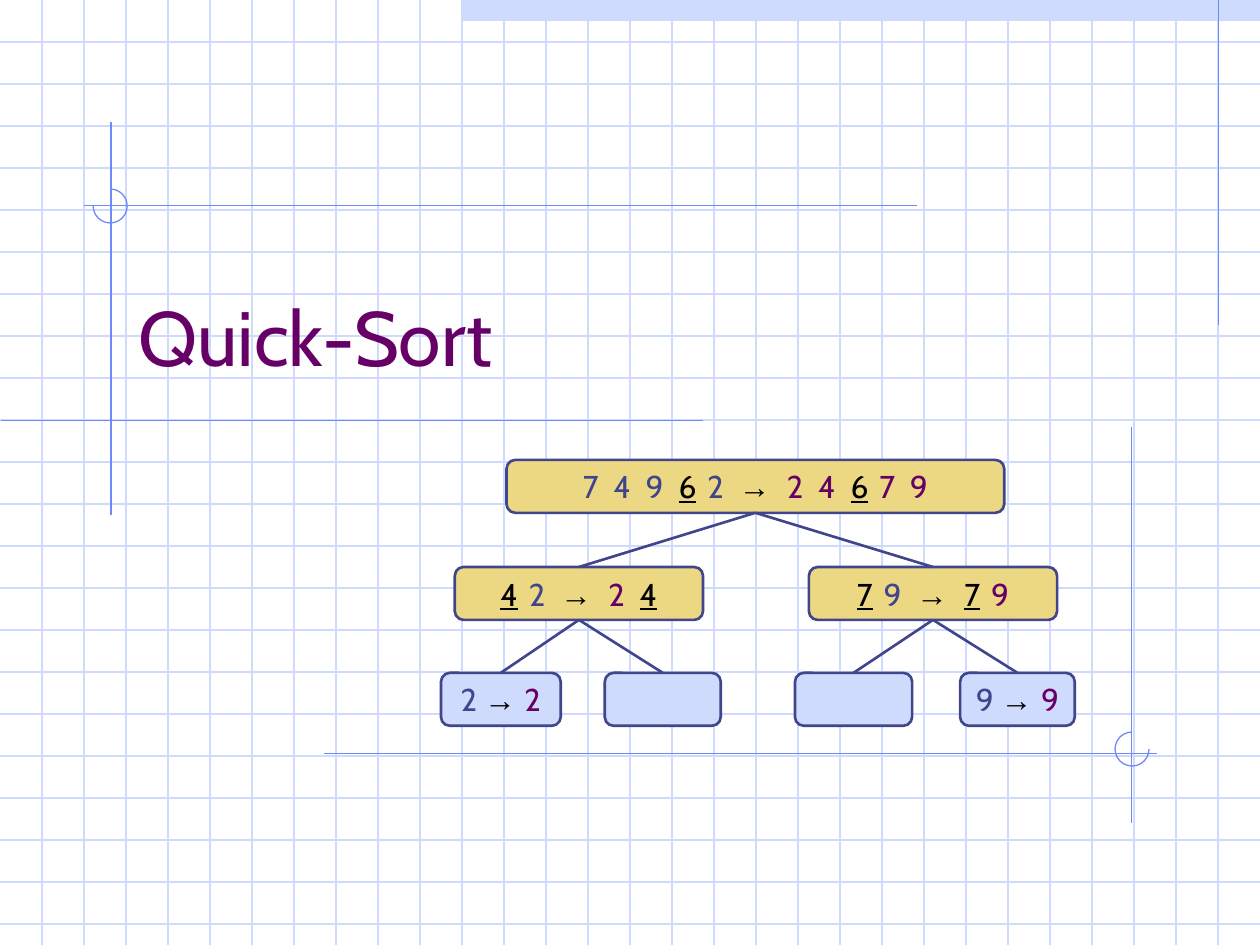
from dataclasses import dataclass

from lxml.etree import SubElement
from pptx import Presentation
from pptx.dml.color import RGBColor
from pptx.enum.shapes import MSO_CONNECTOR as Link, MSO_SHAPE as Preset
from pptx.enum.text import MSO_ANCHOR as Anchor, MSO_AUTO_SIZE as Fit, PP_ALIGN as Align
from pptx.oxml.ns import qn
from pptx.util import Inches, Pt


@dataclass(frozen=True)
class Theme:
    pale: str = "CFDBFD"
    guide: str = "6F89F7"
    gold: str = "ECD882"
    ink: str = "40458C"
    plum: str = "660066"
    black: str = "000000"
    font: str = "Cabin"
    arrow_font: str = "Arial"
    title_size: int = 44
    node_size: int = 18
    thin: float = 0.75
    thick: float = 1.5


@dataclass(frozen=True)
class Box:
    left: float
    top: float
    width: float
    height: float

    def inset(self, left, top, width, height):
        """A box placed in inches from this box's corner."""
        return Box(self.left + left, self.top + top, width, height)

    def emu(self):
        return [Inches(v) for v in (self.left, self.top, self.width, self.height)]


THEME = Theme()
SLIDE = Box(0, 0, 10, 7.5)
CELL = 1 / 3  # pitch of the squared paper


def colour(value):
    return RGBColor.from_string(value)


def add_line(page, start, end, tint, weight):
    line = page.shapes.add_connector(Link.STRAIGHT, *map(Inches, (*start, *end)))
    line.line.color.rgb = colour(tint)
    line.line.width = Pt(weight)
    SubElement(line.element.spPr, qn("a:effectLst"))
    return line


def add_shape(page, preset, box, fill=None, outline=None, weight=THEME.thin):
    shape = page.shapes.add_shape(preset, *box.emu())
    shape.shadow.inherit = False
    if fill:
        shape.fill.solid()
        shape.fill.fore_color.rgb = colour(fill)
    else:
        shape.fill.background()
    if outline:
        shape.line.color.rgb = colour(outline)
        shape.line.width = Pt(weight)
    else:
        shape.line.fill.background()
    return shape


def add_squared_paper(page, box):
    # Header band starts on the eleventh column and is half a row high
    band = box.inset(11 * CELL, 0, box.width - 11 * CELL, CELL / 2)
    add_shape(page, Preset.RECTANGLE, band, THEME.pale)
    right, bottom = box.left + box.width, box.top + box.height
    for row in range(1, int(box.height / CELL) + 1):
        y = box.top + row * CELL
        add_line(page, (box.left, y), (right, y), THEME.pale, THEME.thin)
    for column in range(1, int(box.width / CELL)):
        x = box.left + column * CELL
        add_line(page, (x, box.top), (x, bottom), THEME.pale, THEME.thin)


def add_guides(page, box):
    # Construction lines
    for start, end in (
        ((9.67, 0), (9.67, 2.58)),
        ((0.88, 0.97), (0.88, 4.09)),
        ((0.01, 3.34), (5.58, 3.34)),
        ((0.67, 1.63), (7.28, 1.63)),
        ((2.57, 5.98), (9.18, 5.98)),
        ((8.98, 3.39), (8.98, 6.53)),
    ):
        ends = [(box.left + x, box.top + y) for x, y in (start, end)]
        add_line(page, *ends, THEME.guide, THEME.thin)
    # Three-quarter circles; an angle of 90 degrees is an adjustment of 54
    for left, top, first, last in ((0.74, 1.5, 162, 108), (8.85, 5.81, 0, 162)):
        arc = add_shape(page, Preset.ARC, box.inset(left, top, 0.27, 0.27), outline=THEME.guide)
        arc.adjustments[0] = first
        arc.adjustments[1] = last


def add_title(page, box, text):
    title = page.shapes.title
    title.left, title.top, title.width, title.height = box.emu()
    page.shapes.element.append(title.element)  # in front of the paper
    frame = title.text_frame
    frame.text = text
    frame.word_wrap = True
    frame.auto_size = Fit.NONE
    frame.vertical_anchor = Anchor.BOTTOM
    para = frame.paragraphs[0]
    para.alignment = Align.LEFT
    para.font.name = THEME.font
    para.font.size = Pt(THEME.title_size)
    para.font.color.rgb = colour(THEME.plum)


def write_sort(node, before, after, tracking):
    """Write 'before → after'; each is a list of runs, a pivot starting with *."""
    frame = node.text_frame
    frame.word_wrap = False
    frame.vertical_anchor = Anchor.MIDDLE
    para = frame.paragraphs[0]
    para.alignment = Align.CENTER
    para.font.size = Pt(THEME.node_size)
    runs = [(text, THEME.ink) for text in before]
    runs += [("→ ", THEME.black)]
    runs += [(text, THEME.plum) for text in after]
    for text, tint in runs:
        pivot, arrow = text.startswith("*"), text.startswith("→")
        span = para.add_run()
        span.text = text.lstrip("*")
        font = span.font
        font.name = THEME.arrow_font if arrow else THEME.font
        font.bold = arrow
        font.underline = pivot
        font.color.rgb = colour(THEME.black if pivot else tint)
        if tracking and not pivot:
            font._element.set("spc", str(tracking))


def add_sort_tree(page, box):
    # Per node: row, left, width, runs before, runs after, parent
    rows = (0, 0.85, 1.69)
    layout = (
        (0, 0.52, 3.95, ["7 4 9 ", "*6", " 2 "], ["2 4 ", "*6", " 7 9"], None),
        (1, 0.11, 1.97, ["*4", " 2 "], ["2 ", "*4"], 0),
        (1, 2.92, 1.97, ["*7", " 9 "], ["*7", " 9"], 0),
        (2, 0, 0.95, ["2 "], ["2"], 1),
        (2, 1.3, 0.92, [], [], 1),
        (2, 2.81, 0.93, [], [], 2),
        (2, 4.12, 0.91, ["9 "], ["9"], 2),
    )
    nodes = []
    for row, left, width, before, after, _ in layout:
        leaf = row == 2
        node = add_shape(page, Preset.ROUNDED_RECTANGLE,
                         box.inset(left, rows[row], width, 0.42),
                         THEME.pale if leaf else THEME.gold, THEME.ink, THEME.thick)
        if before:
            write_sort(node, before, after, 0 if leaf else 220)
        nodes.append(node)
    # Branches from the foot of each parent to the head of its child
    for node, (*_, parent) in zip(nodes, layout):
        if parent is not None:
            branch = add_line(page, (0, 0), (1, 1), THEME.ink, THEME.thick)
            branch.begin_connect(nodes[parent], 2)
            branch.end_connect(node, 0)


def main():
    deck = Presentation()
    deck.slide_width, deck.slide_height = Inches(SLIDE.width), Inches(SLIDE.height)
    page = deck.slides.add_slide(deck.slide_layouts[5])
    add_squared_paper(page, SLIDE)
    add_guides(page, SLIDE)
    add_title(page, SLIDE.inset(1, 1.83, 8.5, 1.25), "Quick-Sort")
    add_sort_tree(page, SLIDE.inset(3.5, 3.65, 5.03, 2.11))
    deck.save("out.pptx")


if __name__ == "__main__":
    main()
